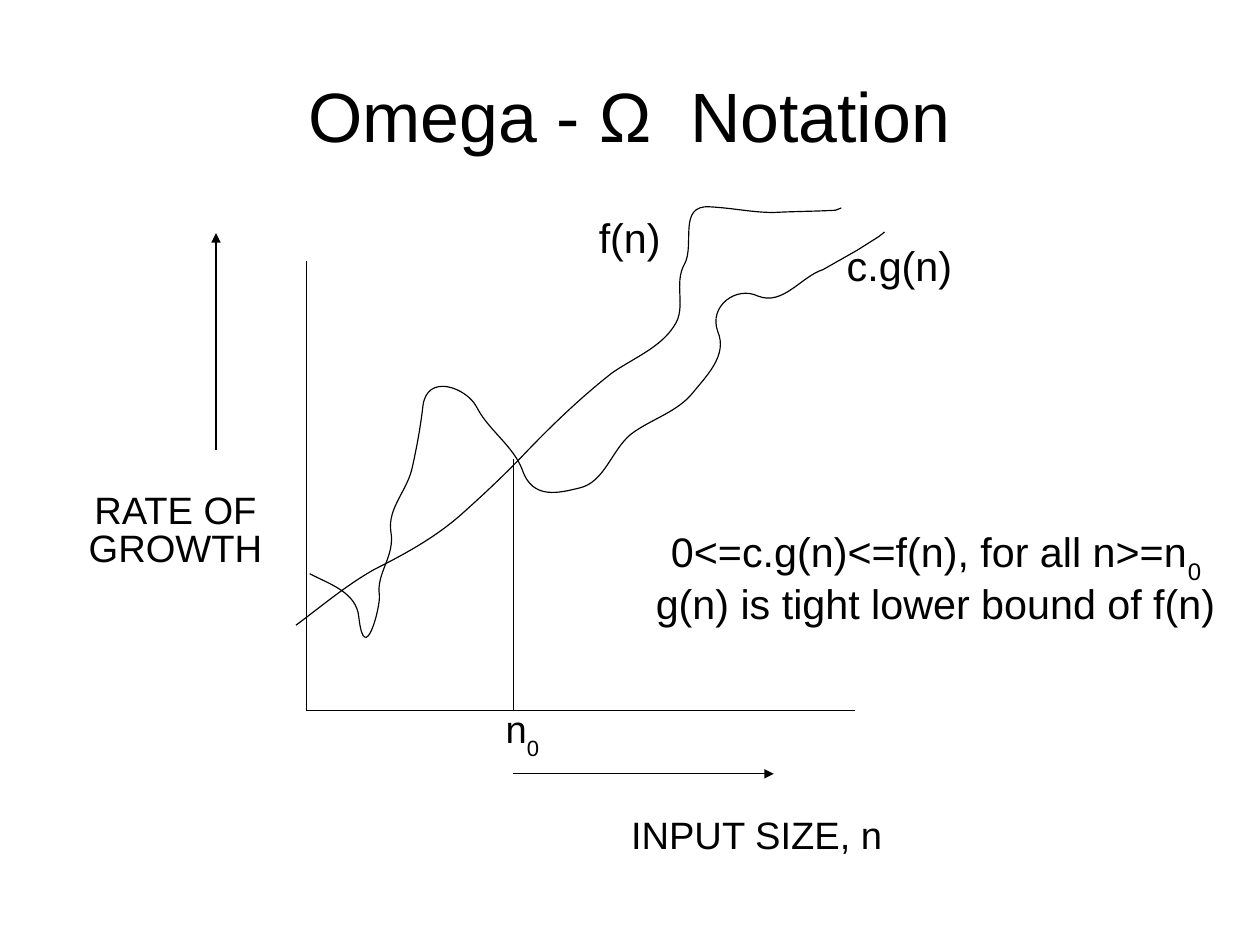
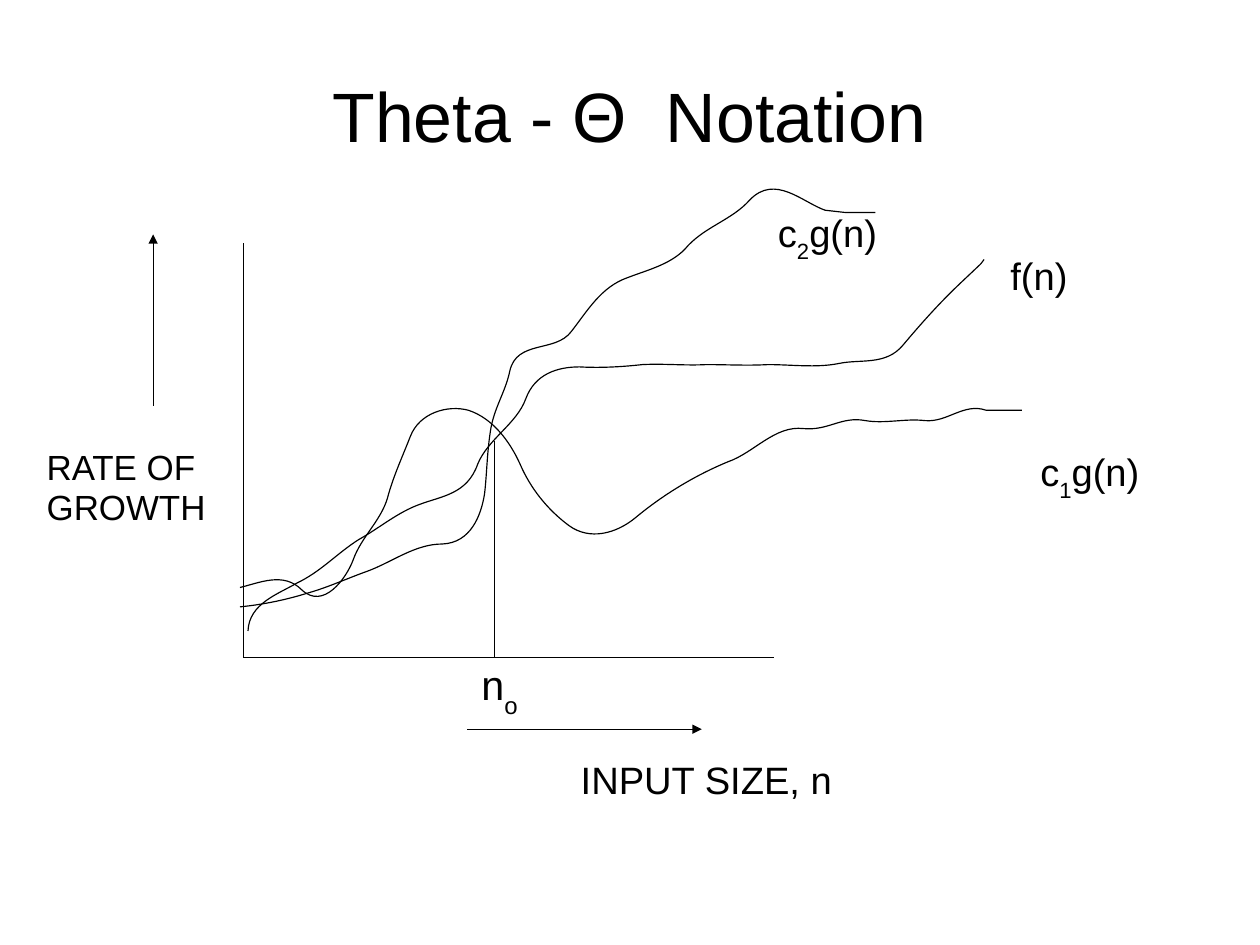
from lxml import etree
from pptx import Presentation
from pptx.dml.color import RGBColor
from pptx.enum.shapes import MSO_CONNECTOR
from pptx.enum.text import MSO_ANCHOR, PP_ALIGN
from pptx.oxml.ns import qn
from pptx.util import Cm, Inches, Pt

STRAIGHT = MSO_CONNECTOR.STRAIGHT
TOP, MIDDLE = MSO_ANCHOR.TOP, MSO_ANCHOR.MIDDLE
LEFT, CENTER = PP_ALIGN.LEFT, PP_ALIGN.CENTER

# Shared style; the page is metric
PAGE_WIDTH, PAGE_HEIGHT = Cm(28), Cm(21)
COLORS = {"background": "FFFFFF", "ink": "000000"}
FONT = "Arial"
LINE_WIDTH = Pt(0.75)
TITLE_BOX = (0.55, 0.33, 9.92, 1.38)
TITLE_INSETS = (0, 0.04, 0, 0)
LABEL_INSETS = (0.1, 0.07, 0.1, 0.05)
TIGHT, NORMAL = 0.84, 0.94

# Curves: a start point, then segments of six numbers (two control points
# and an end point) or two numbers (the end of a straight line)
OMEGA_BOUND = [
    (2.71, 5.02),
    (2.88, 5.11, 3.12, 5.18, 3.14, 5.4), (3.19, 5.85, 3.33, 5.31, 3.32, 5.21),
    (3.29, 5.01, 3.46, 4.87, 3.42, 4.65), (3.39, 4.44, 3.57, 4.29, 3.61, 4.08),
    (3.65, 3.9, 3.68, 3.73, 3.7, 3.56), (3.73, 3.26, 4.08, 3.39, 4.17, 3.56),
    (4.27, 3.76, 4.49, 3.9, 4.57, 4.11), (4.66, 4.38, 4.9, 4.31, 5.07, 4.27),
    (5.29, 4.22, 5.35, 3.94, 5.52, 3.8), (5.69, 3.67, 5.92, 3.61, 6.06, 3.44),
    (6.18, 3.29, 6.37, 3.11, 6.28, 2.9), (6.2, 2.68, 6.44, 2.5, 6.63, 2.59),
    (6.85, 2.68, 7.01, 2.42, 7.2, 2.36), (7.5, 2.19), (7.69, 2.07), (7.74, 2.03),
]
OMEGA_FUNCTION = [
    (2.59, 5.47),
    (2.82, 5.3, 3.03, 5.12, 3.28, 4.98), (3.56, 4.84, 3.83, 4.69, 4.06, 4.48),
    (4.25, 4.31, 4.43, 4.14, 4.6, 3.96), (4.84, 3.71, 5.09, 3.47, 5.36, 3.26),
    (5.55, 3.13, 5.78, 3.04, 5.9, 2.85), (6.01, 2.69, 5.89, 2.48, 5.99, 2.31),
    (6.08, 2.14, 5.93, 1.79, 6.21, 1.81), (6.41, 1.82, 6.58, 1.86, 6.77, 1.86),
    (6.95, 1.85, 7.13, 1.85, 7.31, 1.84), (7.36, 1.82),
]
THETA_LOWER = [
    (2.1, 5.14),
    (2.27, 5.1, 2.48, 5, 2.64, 5.16), (2.83, 5.34, 3.03, 5.06, 3.09, 4.9),
    (3.16, 4.7, 3.33, 4.56, 3.39, 4.36), (3.44, 4.17, 3.52, 4, 3.59, 3.82),
    (3.67, 3.61, 3.92, 3.54, 4.1, 3.59), (4.31, 3.66, 4.46, 3.86, 4.55, 4.06),
    (4.64, 4.27, 4.79, 4.46, 4.98, 4.6), (5.16, 4.73, 5.39, 4.67, 5.56, 4.53),
    (5.8, 4.33, 6.08, 4.16, 6.37, 4.04), (6.6, 3.96, 6.78, 3.72, 7.03, 3.75),
    (7.25, 3.77, 7.36, 3.64, 7.57, 3.68), (7.74, 3.71, 7.92, 3.66, 8.09, 3.68),
    (8.29, 3.7, 8.43, 3.52, 8.63, 3.59), (8.8, 3.59), (8.94, 3.59),
]
THETA_FUNCTION = [
    (2.17, 5.52),
    (2.18, 5.28, 2.43, 5.2, 2.6, 5.1), (2.81, 5, 2.95, 4.84, 3.14, 4.72),
    (3.32, 4.62, 3.48, 4.48, 3.68, 4.41), (3.87, 4.34, 4.09, 4.32, 4.18, 4.06),
    (4.27, 3.84, 4.52, 3.71, 4.6, 3.49), (4.68, 3.27, 4.88, 3.21, 5.07, 3.21),
    (5.25, 3.22, 5.44, 3.21, 5.62, 3.19), (5.81, 3.18, 6, 3.2, 6.18, 3.19),
    (6.36, 3.19, 6.54, 3.2, 6.72, 3.19), (6.93, 3.19, 7.14, 3.22, 7.34, 3.18),
    (7.53, 3.14, 7.75, 3.2, 7.9, 3.02), (8.06, 2.83, 8.22, 2.65, 8.4, 2.48),
    (8.58, 2.31), (8.61, 2.27),
]
THETA_UPPER = [
    (2.1, 5.31),
    (2.3, 5.29, 2.5, 5.25, 2.69, 5.19), (2.87, 5.14, 3.04, 5.06, 3.21, 5),
    (3.43, 4.92, 3.63, 4.76, 3.87, 4.76), (4.12, 4.75, 4.21, 4.51, 4.24, 4.32),
    (4.26, 4.15, 4.26, 3.98, 4.29, 3.78), (4.32, 3.57, 4.42, 3.44, 4.46, 3.25),
    (4.52, 2.97, 4.86, 3.09, 5, 2.9), (5.14, 2.72, 5.26, 2.51, 5.49, 2.43),
    (5.67, 2.36, 5.89, 2.31, 6.02, 2.15), (6.18, 1.98, 6.41, 1.92, 6.56, 1.75),
    (6.78, 1.52, 7.02, 1.77, 7.22, 1.84), (7.4, 1.86), (7.57, 1.86), (7.66, 1.86),
]


def color(name):
    return RGBColor.from_string(COLORS[name])


def style_line(line):
    line.color.rgb = color("ink")
    line.width = LINE_WIDTH


def add_runs(paragraph, text):
    """Write text in which an underscore makes the next character a subscript."""
    first, *rest = text.split("_")
    paragraph.add_run().text = first
    for part in rest:
        subscript = paragraph.add_run()
        subscript.text = part[0]
        subscript._r.get_or_add_rPr().set("baseline", "-33000")
        if part[1:]:
            paragraph.add_run().text = part[1:]


def add_text(slide, box, lines, size, spacing=TIGHT, align=CENTER,
             insets=LABEL_INSETS, anchor=TOP):
    frame = slide.shapes.add_textbox(*map(Inches, box)).text_frame
    frame.word_wrap = True
    frame.vertical_anchor = anchor
    (frame.margin_left, frame.margin_top,
     frame.margin_right, frame.margin_bottom) = map(Inches, insets)
    for index, text in enumerate(lines):
        paragraph = frame.add_paragraph() if index else frame.paragraphs[0]
        paragraph.alignment = align
        paragraph.line_spacing = spacing
        paragraph.font.name = FONT
        paragraph.font.size = Pt(size)
        paragraph.font.color.rgb = color("ink")
        add_runs(paragraph, text)


def add_line(slide, start, end, arrow=False):
    connector = slide.shapes.add_connector(STRAIGHT, *map(Inches, start + end))
    style_line(connector.line)
    if arrow:
        etree.SubElement(connector.line._get_or_add_ln(), qn("a:tailEnd"), type="triangle")
    etree.SubElement(connector._element.spPr, qn("a:effectLst"))


def add_curve(slide, points):
    start, *segments = points
    builder = slide.shapes.build_freeform(*map(Inches, start))
    builder.add_line_segments([tuple(map(Inches, segment[-2:])) for segment in segments],
                              close=False)
    shape = builder.convert_to_shape()
    shape.shadow.inherit = False
    shape.fill.background()
    style_line(shape.line)
    # Bend each six-number segment with its two control points
    for step, segment in zip(list(shape._element.iter(qn("a:lnTo"))), segments):
        if len(segment) == 6:
            step.tag = qn("a:cubicBezTo")
            for index in range(2):
                x, y = map(Inches, segment[2 * index:2 * index + 2])
                control = etree.Element(qn("a:pt"), x=str(x - shape.left), y=str(y - shape.top))
                step.insert(index, control)


def add_axes(slide, origin, top, right, threshold):
    """Draw both axes and the vertical line from the threshold point to the x axis."""
    x, y = origin
    add_line(slide, (x, top), origin)
    add_line(slide, origin, (right, y))
    add_line(slide, threshold, (threshold[0], y))


def add_notation_slide(presentation, title):
    slide = presentation.slides.add_slide(presentation.slide_layouts[6])
    slide.background.fill.solid()
    slide.background.fill.fore_color.rgb = color("background")
    add_text(slide, TITLE_BOX, [title], 44, NORMAL, insets=TITLE_INSETS, anchor=MIDDLE)
    return slide


def add_omega_slide(presentation):
    slide = add_notation_slide(presentation, "Omega - Ω  Notation")
    # Axes and directions
    add_axes(slide, (2.68, 6.22), 2.28, 7.48, (4.49, 4.02))
    add_line(slide, (1.89, 3.94), (1.89, 2.04), arrow=True)
    add_line(slide, (4.49, 6.77), (6.77, 6.77), arrow=True)
    add_text(slide, (0.55, 4.25, 1.97, 0.85), ["RATE OF GROWTH"], 24)
    add_text(slide, (5.2, 7.09, 2.84, 0.47), ["INPUT SIZE, n"], 24)
    # Curves and their names
    for curve in (OMEGA_BOUND, OMEGA_FUNCTION):
        add_curve(slide, curve)
    add_text(slide, (6.61, 2.1, 2.52, 0.5), ["c.g(n)"], 26)
    add_text(slide, (4.25, 1.86, 2.52, 0.5), ["f(n)"], 26)
    add_text(slide, (4.06, 6.11, 1.02, 0.55), ["n_0"], 24)
    # Definition
    add_text(slide, (5.59, 4.53, 5.2, 1.4),
             ["0<=c.g(n)<=f(n), for all n>=n_0", "g(n) is tight lower bound of f(n)"],
             26, NORMAL)


def add_theta_slide(presentation):
    slide = add_notation_slide(presentation, "Theta - Θ  Notation")
    # Axes and directions
    add_axes(slide, (2.13, 5.75), 2.13, 6.77, (4.33, 3.86))
    add_line(slide, (1.34, 3.55), (1.34, 2.05), arrow=True)
    add_line(slide, (4.09, 6.38), (6.14, 6.38), arrow=True)
    add_text(slide, (0.31, 3.86, 1.65, 1.12), ["RATE OF GROWTH"], 22, NORMAL, LEFT)
    add_text(slide, (4.76, 6.61, 2.84, 0.47), ["INPUT SIZE, n"], 24)
    # Curves and their names
    for curve in (THETA_LOWER, THETA_FUNCTION, THETA_UPPER):
        add_curve(slide, curve)
    add_text(slide, (8.43, 3.86, 2.21, 0.55), ["c_1g(n)"], 24)
    add_text(slide, (6.14, 1.77, 2.2, 0.55), ["c_2g(n)"], 24)
    add_text(slide, (7.99, 2.2, 2.2, 0.47), ["f(n)"], 24)
    add_text(slide, (3.82, 5.71, 1.1, 0.59), ["n_o"], 26)


def main():
    presentation = Presentation()
    presentation.slide_width = PAGE_WIDTH
    presentation.slide_height = PAGE_HEIGHT
    add_omega_slide(presentation)
    add_theta_slide(presentation)
    presentation.save("out.pptx")


if __name__ == "__main__":
    main()
